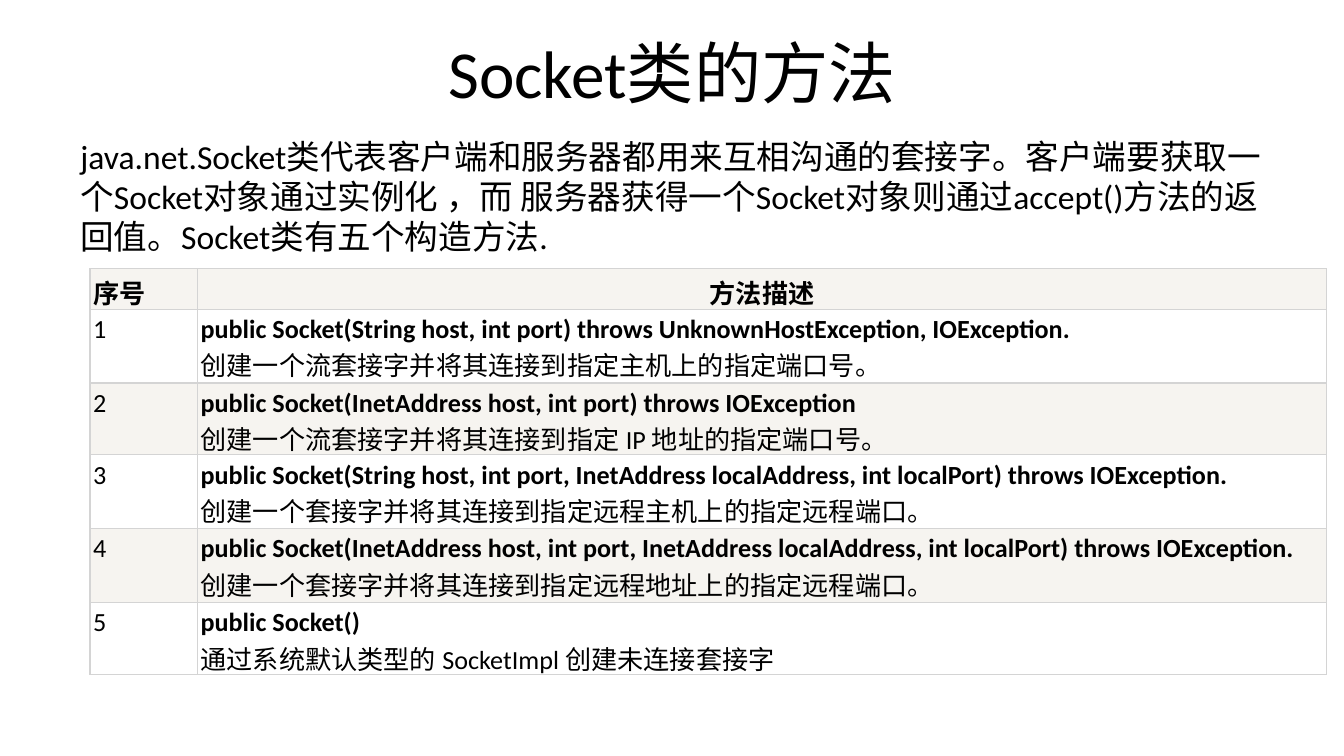
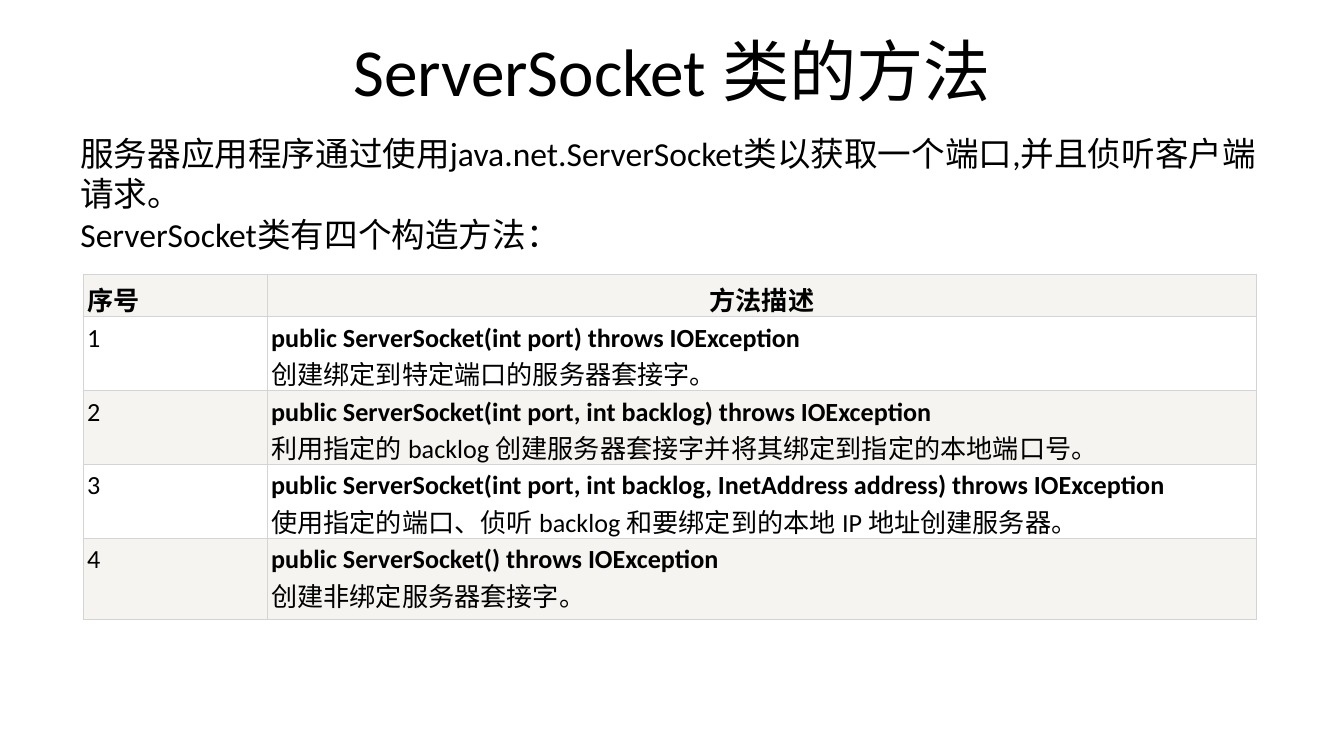
from lxml import etree
from pptx import Presentation
from pptx.dml.color import RGBColor
from pptx.enum.text import MSO_ANCHOR, MSO_AUTO_SIZE, PP_ALIGN
from pptx.oxml import parse_xml
from pptx.oxml.ns import nsdecls
from pptx.util import Inches, Pt

CENTER, LEFT = PP_ALIGN.CENTER, PP_ALIGN.LEFT
MIDDLE, TOP = MSO_ANCHOR.MIDDLE, MSO_ANCHOR.TOP
GROW = MSO_AUTO_SIZE.SHAPE_TO_FIT_TEXT
TITLE_ONLY = 5

FONT = "Calibri"
BLACK, WHITE, BAND, RULE = "000000", "FFFFFF", "F6F4F0", "D4D4D4"
SLIDE_W, MARGIN, CONTENT_W = 10, 0.5, 9
HEADER = ("序号", "方法描述")

SOCKET_INTRO = [
    "java.net.Socket类代表客户端和服务器都用来互相沟通的套接字。客户端要获取一个Socket对象"
    "通过实例化 ，而 服务器获得一个Socket对象则通过accept()方法的返回值。Socket类有五个构造方法.",
]
SOCKET_METHODS = [
    ("public Socket(String host, int port) throws UnknownHostException, IOException.",
     "创建一个流套接字并将其连接到指定主机上的指定端口号。"),
    ("public Socket(InetAddress host, int port) throws IOException",
     "创建一个流套接字并将其连接到指定 IP 地址的指定端口号。"),
    ("public Socket(String host, int port, InetAddress localAddress, int localPort) throws IOException.",
     "创建一个套接字并将其连接到指定远程主机上的指定远程端口。"),
    ("public Socket(InetAddress host, int port, InetAddress localAddress, int localPort) throws IOException.",
     "创建一个套接字并将其连接到指定远程地址上的指定远程端口。"),
    ("public Socket()", "通过系统默认类型的 SocketImpl 创建未连接套接字"),
]
SERVER_INTRO = [
    "服务器应用程序通过使用java.net.ServerSocket类以获取一个端口,并且侦听客户端请求。",
    "ServerSocket类有四个构造方法：",
]
SERVER_METHODS = [
    ("public ServerSocket(int port) throws IOException",
     "创建绑定到特定端口的服务器套接字。"),
    ("public ServerSocket(int port, int backlog) throws IOException",
     "利用指定的 backlog 创建服务器套接字并将其绑定到指定的本地端口号。"),
    ("public ServerSocket(int port, int backlog, InetAddress address) throws IOException",
     "使用指定的端口、侦听 backlog 和要绑定到的本地 IP 地址创建服务器。"),
    ("public ServerSocket() throws IOException", "创建非绑定服务器套接字。"),
]


def rgb(value):
    """Turn a hex string into a colour."""
    return RGBColor.from_string(value)


def style(p, size, align=LEFT):
    """Set the font and alignment of a paragraph."""
    p.alignment = align
    p.font.name, p.font.size = FONT, Pt(size)
    p.font.color.rgb = rgb(BLACK)


def place(sp, left, top, width, height):
    """Position a shape, in inches."""
    sp.left, sp.top = Inches(left), Inches(top)
    sp.width, sp.height = Inches(width), Inches(height)


def add_title(s, text, height):
    """Fill and place the title placeholder."""
    sp = s.shapes.title
    place(sp, MARGIN, 0.23, CONTENT_W, height)
    tf = sp.text_frame
    tf.text = text
    tf.vertical_anchor = MIDDLE
    style(tf.paragraphs[0], 36, CENTER)


def add_intro(s, lines, top):
    """Add the introduction, one paragraph a line."""
    sp = s.shapes.add_textbox(Inches(MARGIN), Inches(top), Inches(CONTENT_W), Inches(1.01))
    tf = sp.text_frame
    tf.word_wrap = True
    tf.auto_size = GROW
    tf.text = "\n".join(lines)
    for p in tf.paragraphs:
        style(p, 18)


def set_borders(cell):
    """Draw a thin rule on all four sides of a cell."""
    tc_pr = cell._tc.get_or_add_tcPr()
    for i, side in enumerate("LRTB"):
        ln = parse_xml(f'<a:ln{side} {nsdecls("a")} w="{Pt(0.75)}"/>')
        fill = etree.SubElement(ln, ln.tag.replace(f"ln{side}", "solidFill"))
        etree.SubElement(fill, ln.tag.replace(f"ln{side}", "srgbClr"), val=RULE)
        tc_pr.insert(i, ln)


def fill_cell(cell, parts, fill, inset, align=LEFT):
    """Write (text, bold) parts on separate lines of a cell, inset in points."""
    cell.margin_left = cell.margin_right = Pt(inset)
    cell.margin_top = cell.margin_bottom = Pt(inset * 1.5)
    cell.vertical_anchor = TOP
    cell.fill.solid()
    cell.fill.fore_color.rgb = rgb(fill)
    set_borders(cell)
    p = cell.text_frame.paragraphs[0]
    style(p, 14, align)
    for i, (text, bold) in enumerate(parts):
        if i:
            p.add_line_break()
        r = p.add_run()
        r.text = text
        r.font.bold = bold


def add_methods(s, methods, box, cols, rows, inset):
    """Add the numbered table of constructors with banded rows."""
    frame = s.shapes.add_table(len(rows), len(cols), *map(Inches, box))
    table = frame.table
    table.first_row = table.horz_banding = False
    for column, width in zip(table.columns, cols):
        column.width = Inches(width)
    for row, height in zip(table.rows, rows):
        row.height = Inches(height)
    place(frame, *box)
    number, description = HEADER
    fill_cell(table.cell(0, 0), [(number, True)], BAND, inset)
    fill_cell(table.cell(0, 1), [(description, True)], BAND, inset, CENTER)
    for i, (signature, purpose) in enumerate(methods, 1):
        fill = WHITE if i % 2 else BAND
        fill_cell(table.cell(i, 0), [(str(i), False)], fill, inset)
        fill_cell(table.cell(i, 1), [(signature, True), (purpose, False)], fill, inset)


def add_slide(prs):
    """Add a title-only slide on white."""
    s = prs.slides.add_slide(prs.slide_layouts[TITLE_ONLY])
    s.background.fill.solid()
    s.background.fill.fore_color.rgb = rgb(WHITE)
    return s


def socket_slide(prs):
    """Build the slide on the Socket class."""
    s = add_slide(prs)
    add_title(s, "Socket类的方法", 0.6)
    add_intro(s, SOCKET_INTRO, 0.96)
    add_methods(s, SOCKET_METHODS, (0.67, 2, 9.2, 3.04), (0.8, 8.4),
                (0.19, 0.55, 0.45, 0.55, 0.55, 0.35), 1.6)


def server_socket_slide(prs):
    """Build the slide on the ServerSocket class."""
    s = add_slide(prs)
    add_title(s, "ServerSocket 类的方法", 0.58)
    add_intro(s, SERVER_INTRO, 0.94)
    add_methods(s, SERVER_METHODS, (0.62, 2.04, 8.73, 2.57), (1.37, 7.36),
                (0.26, 0.38, 0.43, 0.46, 0.6), 2)


def main():
    """Build and save the widescreen presentation."""
    prs = Presentation()
    prs.slide_width, prs.slide_height = Inches(SLIDE_W), Inches(SLIDE_W * 9 / 16)
    socket_slide(prs)
    server_socket_slide(prs)
    prs.save("out.pptx")


main()
